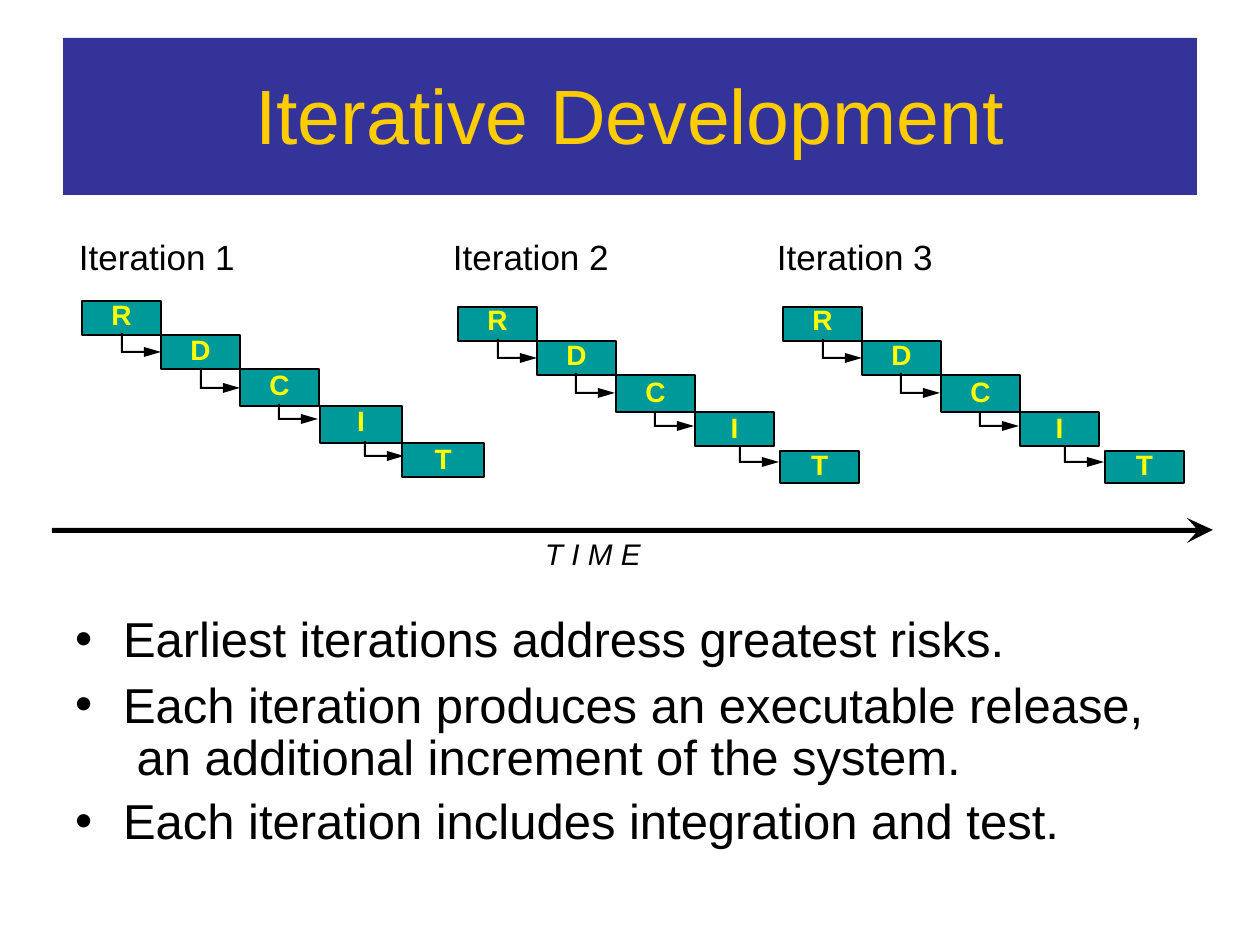
from lxml import etree
from pptx import Presentation
from pptx.dml.color import RGBColor
from pptx.enum.shapes import MSO_SHAPE
from pptx.enum.text import MSO_ANCHOR, MSO_AUTO_SIZE, PP_ALIGN
from pptx.oxml.ns import qn
from pptx.util import Emu, Pt

# Content
TITLE = "Iterative Development"
LABELS = "Iteration 1\tIteration 2\tIteration 3"
LABEL_TABS = (374, 698)
TIME = "T I M E"
BULLETS = [  # text, space before (pt), line spacing (pt)
    ("Earliest iterations address greatest risks.", 4.4, None),
    ("Each iteration produces an executable release,\v an additional increment of the system.", 7.4, 30),
    ("Each iteration includes integration and test.", 3, None),
]
# Phases: letter, left, top, width, height (px), line spacing (pt)
FIRST_PHASES = [
    ("R", 82, 301, 79, 34, 17.4),
    ("D", 161, 335, 79, 34, 17.8),
    ("C", 240, 369, 79, 37, 18.2),
    ("I", 320, 406, 82, 37, 18),
    ("T", 402, 443, 82, 34, 18.2),
]
LATER_PHASES = [
    ("R", 458, 307, 79, 34, 16.9),
    ("D", 537, 341, 79, 34, 17.3),
    ("C", 616, 375, 79, 37, 18.8),
    ("I", 695, 412, 79, 34, 18.5),
    ("T", 780, 451, 79, 32, 17.3),
]
# Elbow arrows: left, top, height (px)
FIRST_ELBOWS = [(121, 333, 24), (200, 368, 25), (278, 404, 20), (364, 441, 20)]
LATER_ELBOWS = [(497, 339, 24), (575, 373, 25), (654, 411, 20), (739, 447, 20)]
ITERATIONS = [  # phases, elbows, shift to the right
    (FIRST_PHASES, FIRST_ELBOWS, 0),
    (LATER_PHASES, LATER_ELBOWS, 0),
    (LATER_PHASES, LATER_ELBOWS, 325),
]
TIME_ARROW = [(52, 528), (1196, 528), (1187, 518), (1213, 530),
              (1187, 543), (1196, 533), (52, 533)]

COLORS = {"banner": "333399", "title": "FFCC00", "box": "009999",
          "letter": "FFFF00", "ink": "000000"}
FONT = "Arial"
EMU_PER_PX = 914400 / 126


def px(value):
    return Emu(round(value * EMU_PER_PX))


def color(name):
    return RGBColor.from_string(COLORS[name])


def place(sp, x, y, w, h):
    sp.left, sp.top, sp.width, sp.height = px(x), px(y), px(w), px(h)


def frame(sp, top=0):
    """Prepare a text frame with only a top inset."""
    tf = sp.text_frame
    tf.auto_size = MSO_AUTO_SIZE.NONE
    tf.word_wrap = True
    tf.vertical_anchor = MSO_ANCHOR.TOP
    tf.margin_left = tf.margin_right = tf.margin_bottom = 0
    tf.margin_top = px(top)
    return tf


def write(p, text, size, ink="ink", bold=False, italic=False,
          align=PP_ALIGN.LEFT, before=0, spacing=None):
    p.text = text
    p.alignment = align
    p.space_before = Pt(before)
    if spacing:
        p.line_spacing = Pt(spacing)
    for r in p.runs:
        r.font.name, r.font.size = FONT, Pt(size)
        r.font.bold, r.font.italic = bold, italic
        r.font.color.rgb = color(ink)


def outline(points):
    """Draw a closed black polygon."""
    builder = s.shapes.build_freeform(*points[0], scale=EMU_PER_PX)
    builder.add_line_segments(points[1:], close=True)
    sp = builder.convert_to_shape()
    sp.shadow.inherit = False
    sp.fill.solid()
    sp.fill.fore_color.rgb = color("ink")
    sp.line.fill.background()


def elbow(x, y, h):
    """Draw a down-then-right arrow whose head is 17 px long."""
    mid, neck, tip = y + h - 5, x + 23, x + 40
    outline([(x, y), (x + 2, y), (x + 2, mid - 1), (neck, mid - 1),
             (neck, mid - 5), (tip, mid), (neck, mid + 5),
             (neck, mid + 1), (x, mid + 1)])


def phase_box(letter, x, y, w, h, spacing):
    sp = s.shapes.add_shape(MSO_SHAPE.RECTANGLE, px(x), px(y), px(w), px(h))
    sp.shadow.inherit = False
    sp.fill.solid()
    sp.fill.fore_color.rgb = color("box")
    sp.line.color.rgb = color("ink")
    sp.line.width = Pt(1)
    write(frame(sp).paragraphs[0], letter, 16, ink="letter", bold=True,
          align=PP_ALIGN.CENTER, spacing=spacing)


def text_box(x, y, w, h, text, size, **style):
    sp = s.shapes.add_textbox(px(x), px(y), px(w), px(h))
    p = frame(sp, top=1).paragraphs[0]
    write(p, text, size, before=1, **style)
    return p


prs = Presentation()
prs.slide_width, prs.slide_height = px(1260), px(945)
s = prs.slides.add_slide(prs.slide_layouts[1])
title, body = s.placeholders

# Title banner
place(title, 63, 38, 1134, 157)
title.fill.solid()
title.fill.fore_color.rgb = color("banner")
write(frame(title, top=30).paragraphs[0], TITLE, 44, ink="title",
      align=PP_ALIGN.CENTER, before=17.4)

# Bullet list
place(body, 74, 601, 1075, 251)
tf = frame(body, top=8)
for i, (text, before, spacing) in enumerate(BULLETS):
    p = tf.add_paragraph() if i else tf.paragraphs[0]
    write(p, text, 28, before=before, spacing=spacing)
    pPr = p._p.get_or_add_pPr()
    pPr.set("marL", str(px(49)))
    pPr.set("indent", str(px(-48)))
    etree.SubElement(pPr, qn("a:buChar")).set("char", "•")

# Time axis
outline(TIME_ARROW)
text_box(545, 535, 116, 39, TIME, 17, italic=True)

# Iteration labels on tab stops
p = text_box(79, 235, 856, 45, LABELS, 20)
tabs = etree.SubElement(p._p.get_or_add_pPr(), qn("a:tabLst"))
for stop in LABEL_TABS:
    tab = etree.SubElement(tabs, qn("a:tab"))
    tab.set("pos", str(px(stop)))
    tab.set("algn", "l")

# Staircases of phases
for phases, elbows, shift in ITERATIONS:
    for letter, x, *rest in phases:
        phase_box(letter, x + shift, *rest)
    for x, y, h in elbows:
        elbow(x + shift, y, h)

prs.save("out.pptx")
